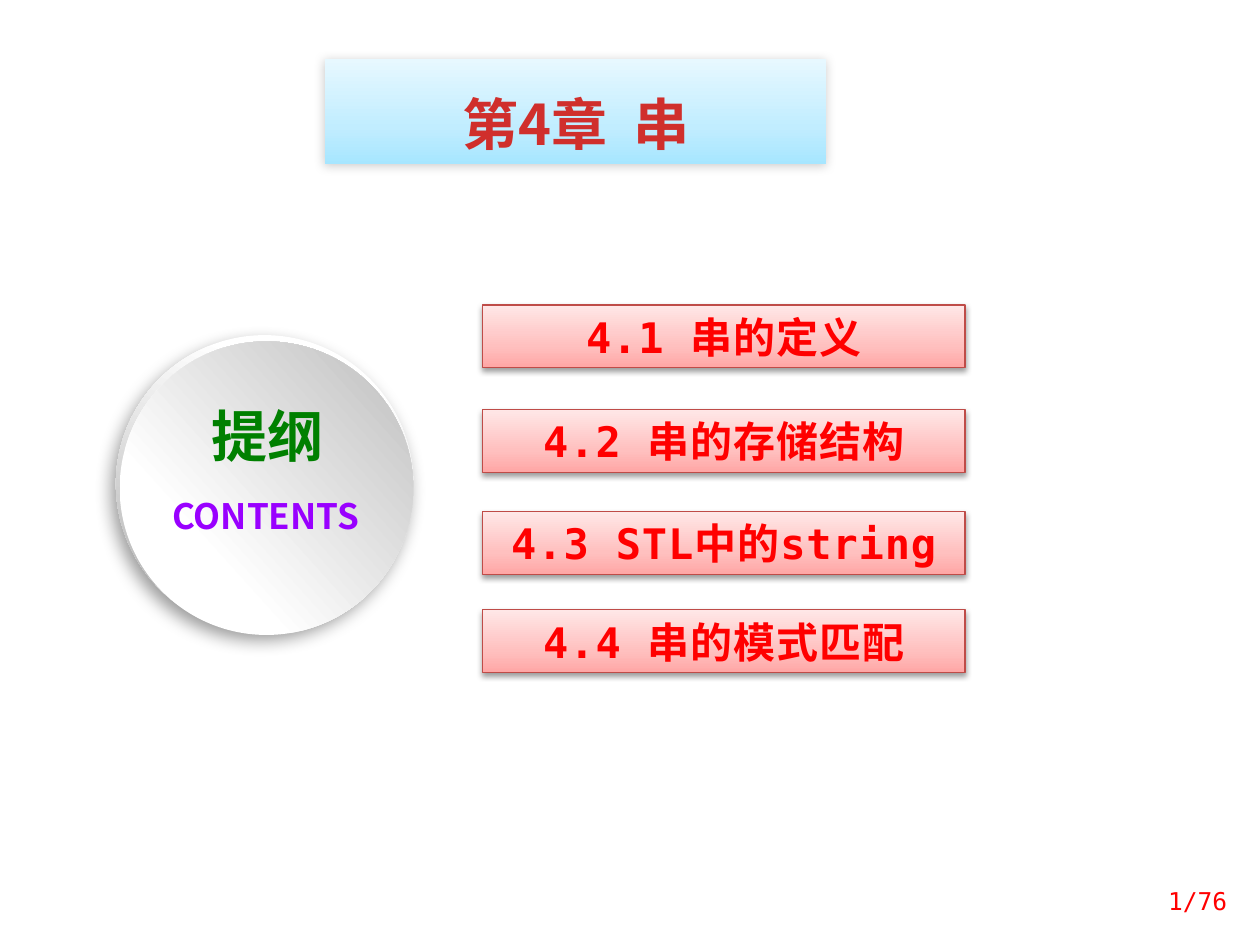
"""Build the outline slide for chapter 4, strings."""
from dataclasses import dataclass

from lxml import etree
from pptx import Presentation
from pptx.dml.color import RGBColor
from pptx.enum.shapes import MSO_SHAPE
from pptx.enum.text import MSO_ANCHOR, PP_ALIGN
from pptx.oxml.ns import qn
from pptx.util import Inches, Pt

RECTANGLE, OVAL = MSO_SHAPE.RECTANGLE, MSO_SHAPE.OVAL
CENTER, RIGHT = PP_ALIGN.CENTER, PP_ALIGN.RIGHT
MIDDLE = MSO_ANCHOR.MIDDLE

BLACK = RGBColor(0x00, 0x00, 0x00)
WHITE = RGBColor(0xFF, 0xFF, 0xFF)
RED = RGBColor(0xFF, 0x00, 0x00)
TITLE_RED = RGBColor(0xD0, 0x2F, 0x2C)
BAR_LINE = RGBColor(0xBF, 0x4C, 0x48)
GREEN = RGBColor(0x00, 0x80, 0x00)
PURPLE = RGBColor(0x99, 0x00, 0xFF)
RIM_GRAY = RGBColor(0xB8, 0xB8, 0xB8)
DISC_GRAY = RGBColor(0xBF, 0xBF, 0xBF)
BLUES = (RGBColor(0xA7, 0xE6, 0xFF), RGBColor(0xC1, 0xED, 0xFF), RGBColor(0xE7, 0xF8, 0xFF))
PINKS = (RGBColor(0xFF, 0xA6, 0xA5), RGBColor(0xFF, 0xC0, 0xBF), RGBColor(0xFF, 0xE7, 0xE7))

MONO = "DejaVu Sans Mono"
SANS_JP = "Noto Sans CJK JP"
SANS_SC = "Noto Sans CJK SC"


@dataclass(frozen=True)
class Box:
    left: float
    top: float
    width: float
    height: float

    def lengths(self) -> tuple:
        return tuple(Inches(n) for n in (self.left, self.top, self.width, self.height))


@dataclass(frozen=True)
class Gradient:
    colors: tuple
    positions: tuple
    angle: int


@dataclass(frozen=True)
class Shadow:
    opacity: int
    blur: float
    distance: float
    angle: int


@dataclass(frozen=True)
class Style:
    size: int
    font: str
    color: RGBColor
    bold: bool = True
    align: PP_ALIGN = CENTER
    spacing: int = 0


@dataclass(frozen=True)
class Section:
    top: float
    title: str


SECTIONS = (
    Section(2.42, "4.1 串的定义"),
    Section(3.25, "4.2 串的存储结构"),
    Section(4.06, "4.3 STL中的string"),
    Section(4.84, "4.4 串的模式匹配"),
)
TITLE_FILL = Gradient(BLUES, (0, 35, 100), 270)
BAR_FILL = Gradient(PINKS, (0, 35, 100), 270)
RIM_FILL = Gradient((WHITE, RIM_GRAY), (17, 88), 107)
DISC_FILL = Gradient((WHITE, DISC_GRAY), (29, 98), 318)
TITLE_SHADOW = Shadow(20, 6, 1, 135)
BAR_SHADOW = Shadow(38, 3.1, 1.6, 90)
RIM_SHADOW = Shadow(39, 10, 5, 123)
BAR_STYLE = Style(24, MONO, RED, spacing=50)


def add_child(parent, tag: str, **attributes):
    return etree.SubElement(parent, qn(tag), {key: str(value) for key, value in attributes.items()})


def set_gradient(shape, gradient: Gradient) -> None:
    shape.fill.gradient()
    fill = shape._element.spPr.find(qn("a:gradFill"))
    for child in list(fill):
        fill.remove(child)
    stops = add_child(fill, "a:gsLst")
    for color, position in zip(gradient.colors, gradient.positions):
        stop = add_child(stops, "a:gs", pos=position * 1000)
        add_child(stop, "a:srgbClr", val=color)
    add_child(fill, "a:lin", ang=gradient.angle * 60000, scaled=0)


def set_shadow(shape, shadow: Shadow) -> None:
    effects = shape._element.spPr.find(qn("a:effectLst"))
    outer = add_child(effects, "a:outerShdw", blurRad=Pt(shadow.blur), dist=Pt(shadow.distance),
                      dir=shadow.angle * 60000, algn="ctr", rotWithShape=0)
    color = add_child(outer, "a:srgbClr", val=BLACK)
    add_child(color, "a:alpha", val=shadow.opacity * 1000)


def add_panel(page, kind: MSO_SHAPE, box: Box, gradient: Gradient,
              shadow: Shadow | None = None, line: RGBColor | None = None):
    panel = page.shapes.add_shape(kind, *box.lengths())
    panel.shadow.inherit = False
    set_gradient(panel, gradient)
    if line is None:
        panel.line.fill.background()
    else:
        panel.line.color.rgb = line
        panel.line.width = Pt(0.75)
    if shadow is not None:
        set_shadow(panel, shadow)
    return panel


def set_text(shape, text: str, style: Style) -> None:
    frame = shape.text_frame
    frame.text = text
    frame.word_wrap = True
    frame.vertical_anchor = MIDDLE
    para = frame.paragraphs[0]
    para.alignment = style.align
    span = para.runs[0]
    span.font.size = Pt(style.size)
    span.font.name = style.font
    span.font.bold = style.bold
    span.font.color.rgb = style.color
    properties = span.font._element
    if style.spacing:
        properties.set("spc", str(style.spacing))
    add_child(properties, "a:ea", typeface=SANS_SC if style.font == MONO else style.font)


def add_label(page, box: Box, text: str, style: Style) -> None:
    set_text(page.shapes.add_textbox(*box.lengths()), text, style)


def main() -> None:
    deck = Presentation()
    deck.slide_width, deck.slide_height = Inches(10), Inches(7.5)
    page = deck.slides.add_slide(deck.slide_layouts[6])

    title = add_panel(page, RECTANGLE, Box(2.58, 0.47, 3.98, 0.83), TITLE_FILL, TITLE_SHADOW)
    set_text(title, "第4章  串", Style(32, SANS_JP, TITLE_RED))
    title.text_frame.margin_top = Inches(0.24)

    add_panel(page, OVAL, Box(0.92, 2.66, 2.36, 2.36), RIM_FILL, RIM_SHADOW)
    add_panel(page, OVAL, Box(0.95, 2.71, 2.33, 2.33), DISC_FILL)
    add_label(page, Box(1.19, 3.87, 1.84, 0.44), "CONTENTS", Style(20, SANS_SC, PURPLE))
    add_label(page, Box(1.35, 3.13, 1.54, 0.64), "提纲", Style(32, SANS_SC, GREEN))

    for section in SECTIONS:
        bar = add_panel(page, RECTANGLE, Box(3.83, section.top, 3.83, 0.5),
                        BAR_FILL, BAR_SHADOW, BAR_LINE)
        set_text(bar, section.title, BAR_STYLE)
        bar.text_frame.margin_left = bar.text_frame.margin_right = Inches(0.05)

    add_label(page, Box(8.78, 6.95, 1.06, 0.4), "1/76",
              Style(14, MONO, RED, bold=False, align=RIGHT))
    deck.save("out.pptx")


if __name__ == "__main__":
    main()
